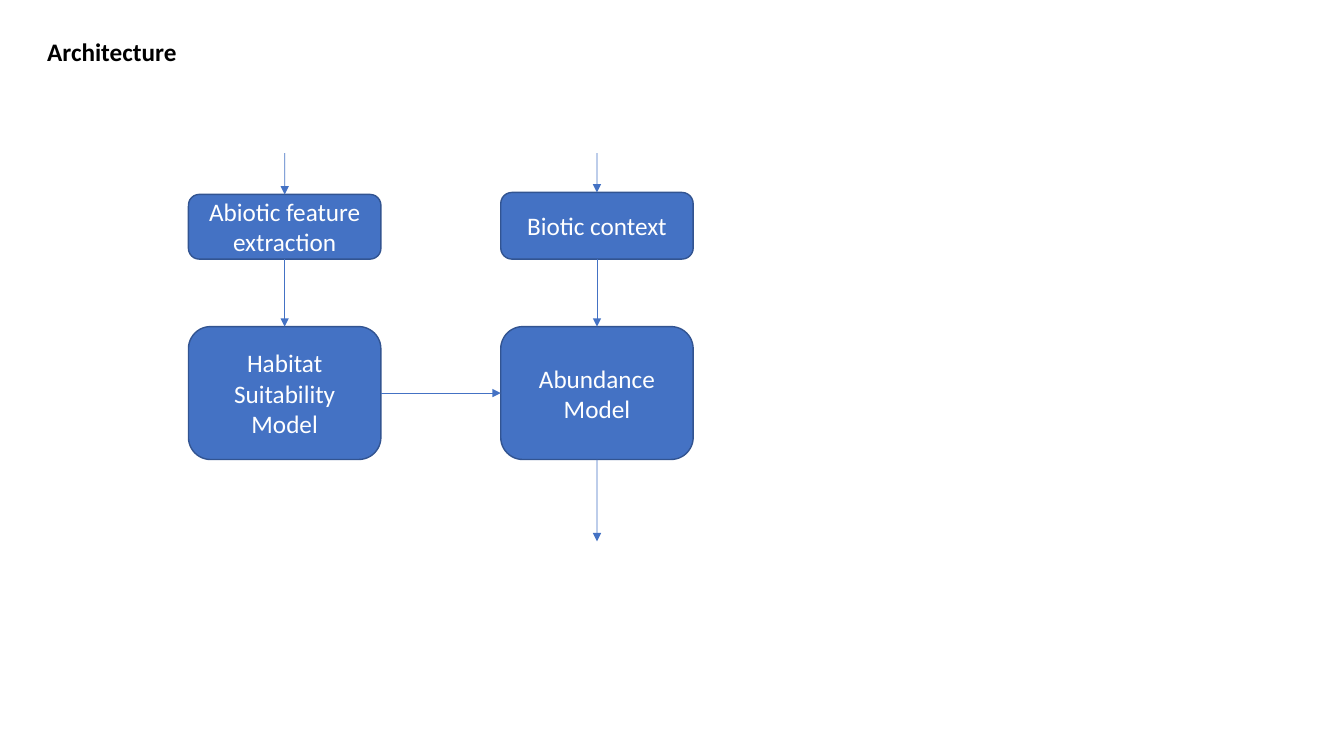
import dataclasses

import lxml.etree
import pptx
import pptx.dml.color
import pptx.enum.shapes
import pptx.enum.text
import pptx.oxml.ns
import pptx.util

Cm = pptx.util.Cm
Pt = pptx.util.Pt
TOP, LEFT, BOTTOM, RIGHT = range(4)


@dataclasses.dataclass(frozen=True)
class Theme:
    font: str = "Calibri"
    size: float = 18
    ink: str = "000000"
    light: str = "FFFFFF"
    fill: str = "4472C4"
    edge: str = "325491"
    rim: float = 1
    wire: float = 0.5


THEME = Theme()


def tint(code):
    return pptx.dml.color.RGBColor.from_string(code)


def write(shape, text, color=THEME.ink, bold=False, align="LEFT", anchor="TOP", wrap=True):
    frame = shape.text_frame
    frame.word_wrap = wrap
    frame.vertical_anchor = pptx.enum.text.MSO_ANCHOR[anchor]
    para = frame.paragraphs[0]
    para.alignment = pptx.enum.text.PP_ALIGN[align]
    run = para.add_run()
    run.text = text
    run.font.name = THEME.font
    run.font.size = Pt(THEME.size)
    run.font.bold = bold
    run.font.color.rgb = tint(color)


def node(slide, text, left, top, width, height):
    kind = pptx.enum.shapes.MSO_SHAPE.ROUNDED_RECTANGLE
    shape = slide.shapes.add_shape(kind, Cm(left), Cm(top), Cm(width), Cm(height))
    shape.shadow.inherit = False
    shape.fill.solid()
    shape.fill.fore_color.rgb = tint(THEME.fill)
    shape.line.color.rgb = tint(THEME.edge)
    shape.line.width = Pt(THEME.rim)
    write(shape, text, color=THEME.light, align="CENTER", anchor="MIDDLE")
    return shape


def arrow(slide, x, y, drop=0, start=None, end=None):
    kind = pptx.enum.shapes.MSO_CONNECTOR.STRAIGHT
    line = slide.shapes.add_connector(kind, Cm(x), Cm(y), Cm(x), Cm(y + drop))
    if start:
        line.begin_connect(*start)
    if end:
        line.end_connect(*end)
    line.line.color.rgb = tint(THEME.fill)
    line.line.width = Pt(THEME.wire)
    qn = pptx.oxml.ns.qn
    props = line._element.spPr
    lxml.etree.SubElement(props.find(qn("a:ln")), qn("a:tailEnd"), type="triangle")
    lxml.etree.SubElement(props, qn("a:effectLst"))


def title(slide, left, top, width, height):
    box = slide.shapes.add_textbox(Cm(left), Cm(top), Cm(width), Cm(height))
    box.text_frame.auto_size = pptx.enum.text.MSO_AUTO_SIZE.SHAPE_TO_FIT_TEXT
    write(box, "Architecture", bold=True, wrap=False)


def column(slide, left, top, width, height, names, lead):
    head, base = names
    mid = left + width / 2
    split = top + 2.67
    first = node(slide, head, left, top + lead, width, split - top - lead)
    model = node(slide, base, left, top + 4.37, width, 3.35)
    arrow(slide, mid, top, end=(first, TOP))
    arrow(slide, mid, split, start=(first, BOTTOM), end=(model, TOP))
    return model


def flow(slide, left, top, width, height):
    wide = 4.85
    step = width - wide
    parts = [
        (("Abiotic feature extraction", "Habitat Suitability Model"), 1.04),
        (("Biotic context", "Abundance Model"), 0.99),
    ]
    models = [
        column(slide, left + i * step, top, wide, height, names, lead)
        for i, (names, lead) in enumerate(parts)
    ]
    habit, count = models
    arrow(slide, left, top, start=(habit, RIGHT), end=(count, LEFT))
    foot = 7.72
    arrow(slide, left + step + wide / 2, top + foot, drop=height - foot, start=(count, BOTTOM))


def main():
    deck = pptx.Presentation()
    deck.slide_width = Cm(33.87)
    deck.slide_height = Cm(19.05)
    slide = deck.slides.add_slide(deck.slide_layouts[6])
    title(slide, 0.94, 0.79, 3.78, 1.02)
    flow(slide, 4.75, 3.86, 12.72, 9.78)
    deck.save("out.pptx")


if __name__ == "__main__":
    main()
